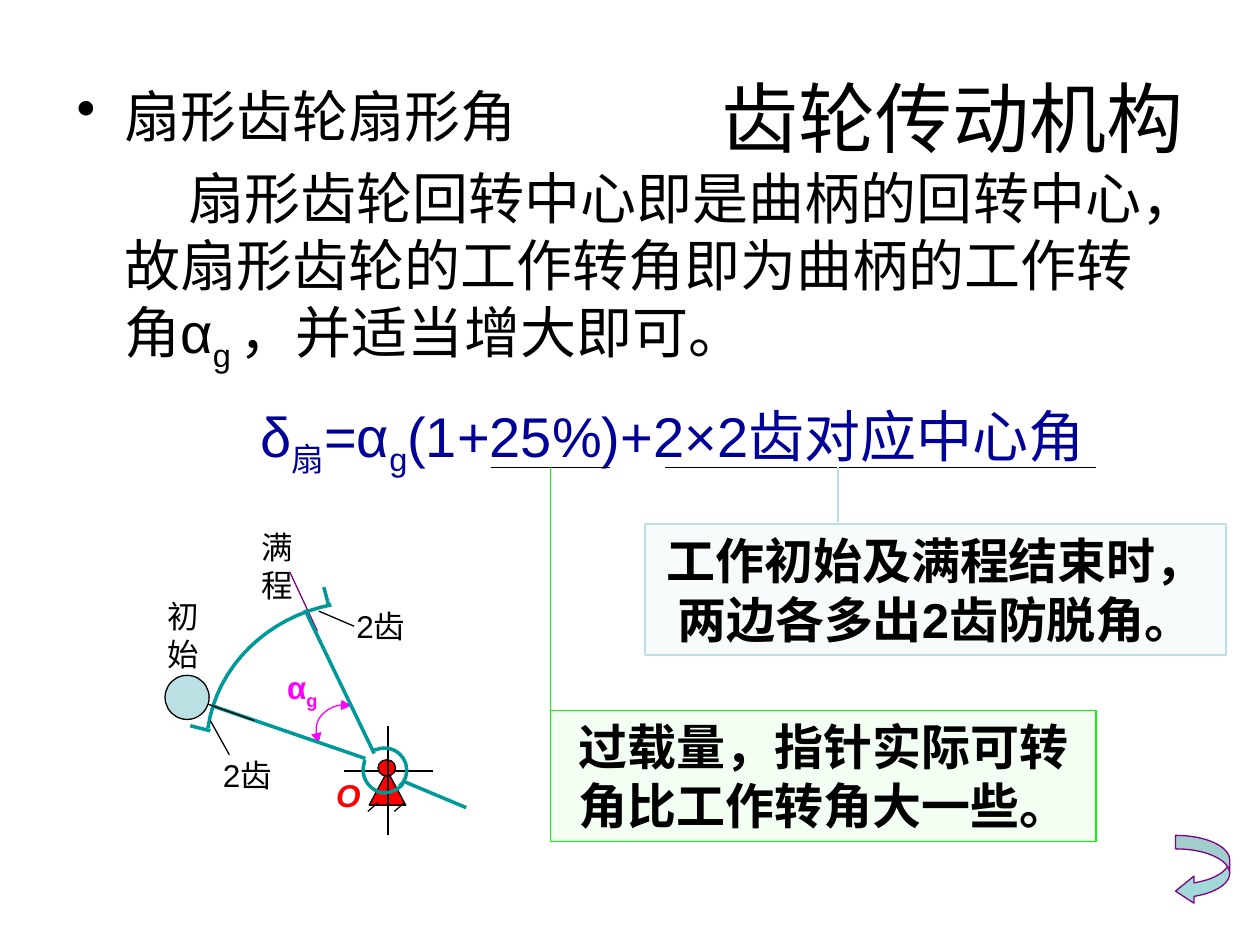
from dataclasses import dataclass

from lxml.etree import SubElement
from pptx import Presentation
from pptx.dml.color import RGBColor
from pptx.enum.shapes import MSO_CONNECTOR, MSO_SHAPE
from pptx.enum.text import MSO_ANCHOR, PP_ALIGN
from pptx.oxml.ns import qn
from pptx.util import Inches, Pt


@dataclass(frozen=True)
class Theme:
    font: str = "Arial"
    title: int = 44
    body: int = 32
    callout: int = 28
    label: int = 18
    thin: float = 0.75
    thick: float = 2
    black: str = "000000"
    navy: str = "000099"
    teal: str = "009999"
    pale: str = "BBE0E3"
    green: str = "00FF00"
    mint: str = "CCFFCC"
    purple: str = "800080"
    magenta: str = "FF00FF"
    red: str = "FF0000"


T = Theme()


def rgb(value):
    return RGBColor.from_string(value)


def add_run(p, text, size, color=T.black, baseline=0, **styles):
    r = p.add_run()
    r.text = text
    formats = {"name": T.font, "size": Pt(size), **styles}
    for name, value in formats.items():
        setattr(r.font, name, value)
    r.font.color.rgb = rgb(color)
    if baseline:
        r.font._element.set("baseline", str(baseline * 1000))


def set_line(sp, color, width=T.thin):
    sp.line.color.rgb = rgb(color)
    sp.line.width = Pt(width)


def add_line(shapes, start, end, color=T.black, width=T.thin):
    points = [Inches(v) for v in (*start, *end)]
    line = shapes.add_connector(MSO_CONNECTOR.STRAIGHT, *points)
    set_line(line, color, width)
    SubElement(line._element.spPr, qn("a:effectLst"))
    return line


def add_shape(shapes, kind, box, fill, line=T.black, opacity=100):
    sp = shapes.add_shape(kind, *map(Inches, box))
    sp.shadow.inherit = False
    sp.fill.solid()
    sp.fill.fore_color.rgb = rgb(fill)
    if opacity < 100:
        color = sp._element.spPr.find(".//" + qn("a:srgbClr"))
        SubElement(color, qn("a:alpha")).set("val", str(opacity * 1000))
    set_line(sp, line)
    return sp


def add_text(shapes, box):
    tf = shapes.add_textbox(*map(Inches, box)).text_frame
    tf.word_wrap = True
    return tf


def add_label(shapes, box, text, color=T.black, sub="", **styles):
    p = add_text(shapes, box).paragraphs[0]
    add_run(p, text, T.label, color, **styles)
    if sub:
        add_run(p, sub, T.label, color, -25, **styles)


def add_callout(shapes, box, text, fill, line, opacity):
    sp = add_shape(shapes, MSO_SHAPE.RECTANGLE, box, fill, line, opacity)
    tf = sp.text_frame
    tf.word_wrap = True
    tf.vertical_anchor = MSO_ANCHOR.TOP
    p = tf.paragraphs[0]
    p.alignment = PP_ALIGN.CENTER
    add_run(p, text, T.callout, bold=True)


def bezier(p0, p1, p2, p3, steps=16):
    """Points along a cubic curve, both ends included."""
    for i in range(steps + 1):
        t = i / steps
        u = 1 - t
        yield tuple(
            Inches(u**3 * a + 3 * u * u * t * b + 3 * u * t * t * c + t**3 * d)
            for a, b, c, d in zip(p0, p1, p2, p3)
        )


def add_curve(shapes, controls, color, width, arrows=False):
    """Open outline through 3n + 1 control points of joined cubic curves."""
    points = []
    for i in range(0, len(controls) - 1, 3):
        points += list(bezier(*controls[i:i + 4]))[1 if i else 0:]
    builder = shapes.build_freeform(*points[0])
    builder.add_line_segments(points[1:], close=False)
    sp = builder.convert_to_shape()
    sp.shadow.inherit = False
    sp.fill.background()
    set_line(sp, color, width)
    if arrows:
        for end in ("a:headEnd", "a:tailEnd"):
            SubElement(sp.line._ln, qn(end)).set("type", "triangle")


def add_body(shapes):
    tf = add_text(shapes, (0.51, 0.6, 9.02, 6.09))
    # Each paragraph: first-line indent, space before, runs (text, baseline, colour)
    paragraphs = [
        (-0.38, 0, [("扇形齿轮扇形角", 0, T.black)]),
        (0.51, 8, [
            ("扇形齿轮回转中心即是曲柄的回转中心，故扇形齿轮的工作转角即为曲柄的工作转角α", 0, T.black),
            ("g ", -25, T.black),
            ("，并适当增大即可。", 0, T.black),
        ]),
        (1.08, 16, [
            ("δ", 0, T.navy),
            ("扇", -25, T.navy),
            ("=α", 0, T.navy),
            ("g", -25, T.navy),
            ("(1+25%)+2×2齿对应中心角", 0, T.navy),
        ]),
    ]
    for i, (indent, before, runs) in enumerate(paragraphs):
        p = tf.add_paragraph() if i else tf.paragraphs[0]
        pPr = p._p.get_or_add_pPr()
        pPr.set("marL", str(Inches(0.38)))
        pPr.set("indent", str(Inches(indent)))
        if i:
            p.space_before = Pt(before)
        else:
            SubElement(pPr, qn("a:buChar")).set("char", "•")
        for text, baseline, color in runs:
            add_run(p, text, T.body, color, baseline)


def add_formula_notes(shapes):
    # Underlined terms of the formula, each led to its explanation
    add_line(shapes, (5.28, 3.71), (8.7, 3.71))
    add_line(shapes, (6.65, 3.71), (6.65, 4.14), T.pale)
    add_callout(shapes, (5.12, 4.16, 4.61, 1.04),
                "工作初始及满程结束时，两边各多出2齿防脱角。", T.pale, T.pale, 10)
    add_line(shapes, (3.9, 3.71), (4.84, 3.71))
    add_line(shapes, (4.37, 3.71), (4.37, 6.03), T.green)
    add_callout(shapes, (4.37, 5.64, 4.33, 1.04),
                "过载量，指针实际可转角比工作转角大一些。", T.mint, T.green, 23)


def add_sector_gear(shapes):
    # Working angle
    add_line(shapes, (2.3, 4.54), (2.52, 5.01), T.purple)
    add_curve(shapes, [(2.79, 5.6), (2.7, 5.58), (2.61, 5.61), (2.55, 5.68),
                       (2.5, 5.74), (2.5, 5.82), (2.53, 5.9)],
              T.magenta, T.thin, arrows=True)

    # Fixed pivot with its centre lines
    add_line(shapes, (2.73, 6.12), (3.44, 6.12))
    add_shape(shapes, MSO_SHAPE.ISOSCELES_TRIANGLE, (2.93, 6.12, 0.29, 0.27), T.red)
    add_shape(shapes, MSO_SHAPE.OVAL, (3, 6.03, 0.14, 0.13), T.red)
    for x in (3, 3.21):
        add_line(shapes, (x, 6.37), (x - 0.08, 6.44))
    add_line(shapes, (3.08, 5.76), (3.08, 6.63))

    # Sector: arms, end teeth, rim and hub
    for start, end in [((2.97, 5.98), (2.42, 4.84)), ((3.2, 6.2), (3.7, 6.41)),
                       ((2.9, 6.02), (1.68, 5.6)), ((1.51, 5.76), (1.67, 5.8)),
                       ((2.57, 4.66), (2.61, 4.81))]:
        add_line(shapes, start, end, T.teal, T.thick)
    for controls in [
        [(1.65, 5.78), (1.72, 5.29), (2.12, 4.9), (2.63, 4.8)],
        [(3.17, 6.24), (3.22, 6.2), (3.24, 6.13), (3.22, 6.06),
         (3.19, 5.97), (3.09, 5.91), (2.99, 5.95),
         (2.98, 5.95), (2.97, 5.95), (2.96, 5.96)],
        [(3.2, 6.22), (3.15, 6.28), (3.08, 6.3), (3.02, 6.29),
         (2.92, 6.26), (2.86, 6.16), (2.89, 6.06),
         (2.89, 6.05), (2.89, 6.04), (2.9, 6.03)],
    ]:
        add_curve(shapes, controls, T.teal, T.thick)

    # Starting position and tooth leaders
    add_line(shapes, (2.02, 5.72), (1.43, 5.51))
    add_shape(shapes, MSO_SHAPE.OVAL, (1.31, 5.36, 0.35, 0.35), T.pale)
    add_line(shapes, (1.67, 5.72), (1.82, 5.99))
    add_line(shapes, (2.53, 4.85), (2.81, 4.97))

    # Labels
    add_label(shapes, (2.57, 6.11, 0.72, 0.4), "O", T.red, bold=True, italic=True)
    add_label(shapes, (2.18, 5.25, 0.55, 0.44), "α", T.magenta, "g", bold=True)
    add_label(shapes, (1.23, 4.69, 0.43, 0.7), "初始")
    add_label(shapes, (1.98, 4.14, 0.51, 0.7), "满程")
    for left, top in ((1.67, 5.95), (2.73, 4.77)):
        add_label(shapes, (left, top, 0.67, 0.4), "2齿")


def main():
    prs = Presentation()
    prs.slide_width, prs.slide_height = Inches(10), Inches(7.5)
    s = prs.slides.add_slide(prs.slide_layouts[5])

    # Title
    title = s.shapes.title
    box = {"left": 0.5, "top": 0.3, "width": 9, "height": 1.25}
    for name, value in box.items():
        setattr(title, name, Inches(value))
    title.text_frame.vertical_anchor = MSO_ANCHOR.MIDDLE
    p = title.text_frame.paragraphs[0]
    p.alignment = PP_ALIGN.RIGHT
    add_run(p, "齿轮传动机构", T.title)

    add_body(s.shapes)
    add_formula_notes(s.shapes)
    add_sector_gear(s.shapes.add_group_shape().shapes)

    # Return arrow
    arrow = add_shape(s.shapes, MSO_SHAPE.CURVED_LEFT_ARROW,
                      (9.33, 6.63, 0.43, 0.55), T.teal, T.purple, 37)
    arrow.adjustments[2] = 0.34

    prs.save("out.pptx")


if __name__ == "__main__":
    main()
